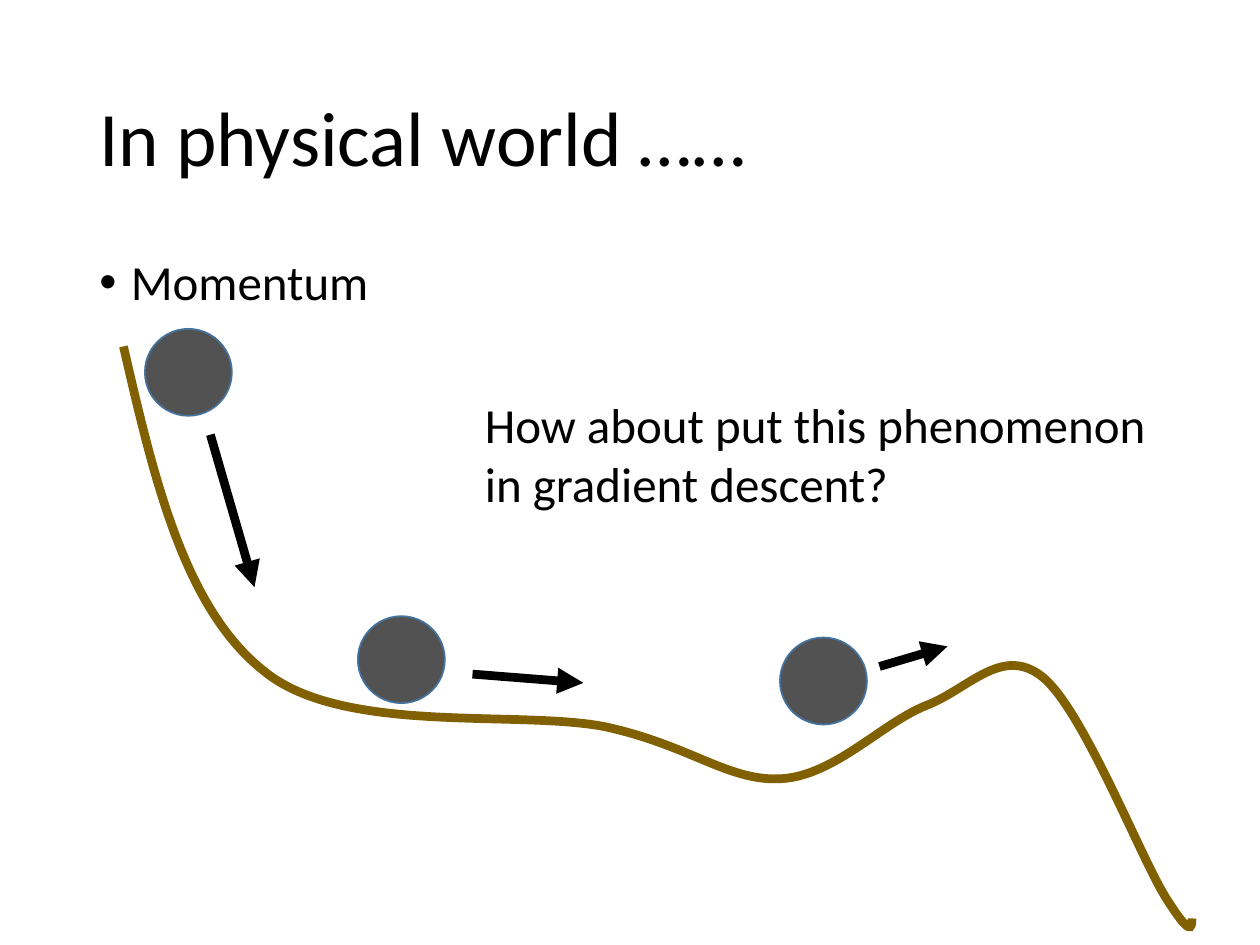
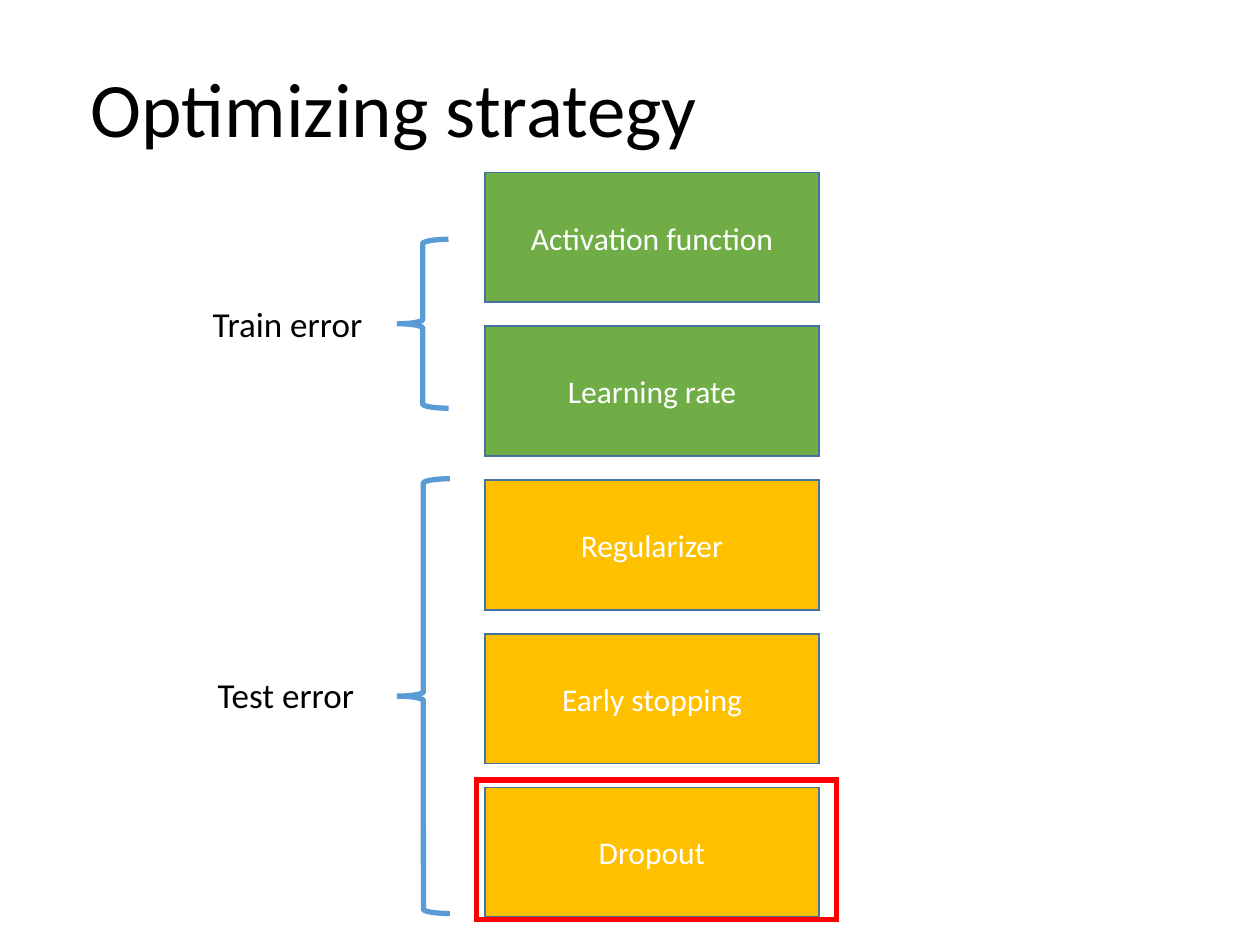
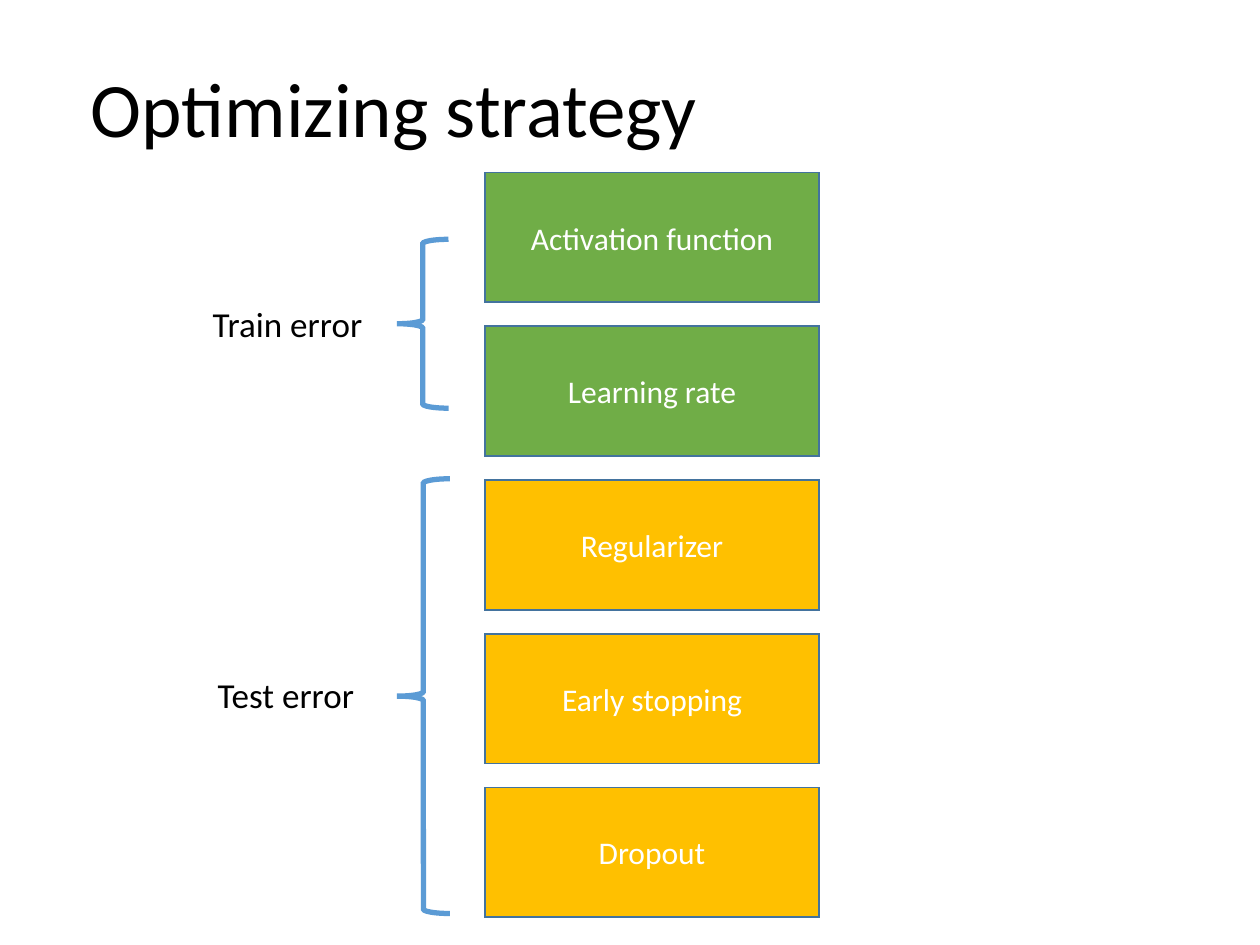
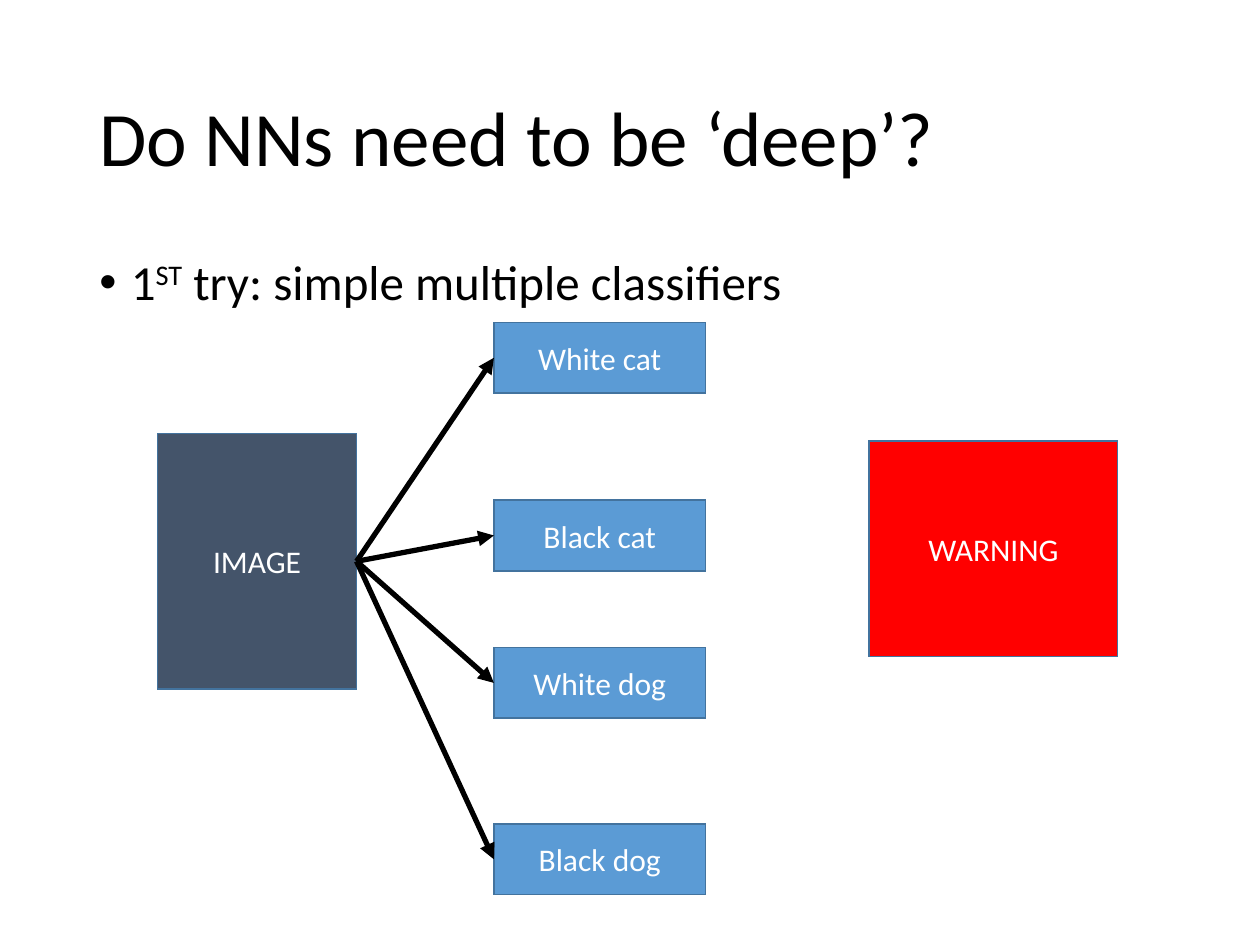
from lxml import etree
from pptx import Presentation
from pptx import util as u
from pptx.dml.color import RGBColor
from pptx.enum import shapes, text
from pptx.oxml.ns import qn

# ---- Shared style ----
COLOURS = {
    "ink": "000000", "paper": "FFFFFF", "outline": "43739E",
    "ball": "525252", "hill": "806000", "green": "70AD47", "amber": "FFC000",
    "blue": "5B9BD5", "slate": "44546A", "red": "FF0000",
}
FONT = "Calibri"
TITLE_SIZE, BODY_SIZE, GROUP_SIZE, LABEL_SIZE = 44, 28, 20, 18
TITLE_BOX = (0.69, 0.4, 8.62, 1.45)
STRATEGY_TITLE_BOX = (0.62, 0.17, 8.62, 1.45)
BODY_BOX = (0.69, 2, 8.62, 4.76)

# ---- Content: momentum ----
BALL_SIZE = 0.69
BALLS = [(1.15, 2.61), (2.84, 4.89), (6.19, 5.06)]
MOTIONS = [((1.67, 3.45), (2.02, 4.66)),
           ((3.75, 5.35), (4.63, 5.42)),
           ((6.98, 5.29), (7.52, 5.13))]
HILL_START, HILL_HEIGHT = (0.98, 2.75), 4.6
HILL_CURVES = [  # two control points and an end point each
    ((1.22, 3.79), (1.46, 4.83), (2.1, 5.33)),
    ((2.73, 5.84), (4.12, 5.63), (4.81, 5.77)),
    ((5.49, 5.92), (5.79, 6.21), (6.21, 6.18)),
    ((6.63, 6.15), (7, 5.74), (7.35, 5.6)),
    ((7.69, 5.47), (7.95, 5.12), (8.27, 5.37)),
    ((8.59, 5.62), (9.05, 6.8), (9.25, 7.12)),
    ((9.45, 7.44), (9.46, 7.37), (9.46, 7.29)),
]

# ---- Content: optimizing strategy ----
STRATEGIES = [("Activation function", "green"), ("Learning rate", "green"),
              ("Regularizer", "amber"), ("Early stopping", "amber"),
              ("Dropout", "amber")]
STRATEGY_LEFT, STRATEGY_TOP, STRATEGY_PITCH = 3.85, 1.37, 1.22
STRATEGY_SIZE = (2.65, 1.03)
BRACES = [(3.15, 1.9, 0.41, 1.34), (3.15, 3.8, 0.42, 3.45)]
ERROR_LABELS = [("Train error", (1.59, 2.35, 1.4, 0.44)),
                ("Test error", (1.63, 5.3, 1.3, 0.44))]
DROPOUT_FRAME = (3.78, 6.19, 2.86, 1.11)

# ---- Content: classifiers ----
IMAGE_BOX = (1.25, 3.44, 1.58, 2.03)
WARNING_BOX = (6.9, 3.5, 1.97, 1.71)
CLASSIFIERS = [("White cat", 2.56), ("Black cat", 3.97),
               ("White dog", 5.14), ("Black dog", 6.54)]
CLASSIFIER_LEFT, CLASSIFIER_SIZE = 3.92, (1.68, 0.56)


# ---- Helpers ----
def inches(values):
    return [u.Inches(value) for value in values]


def rgb(name):
    return RGBColor.from_string(COLOURS[name])


def add_span(para, words, size, colour="ink", superscript=False):
    span = para.add_run()
    span.text = words
    span.font.name = FONT
    span.font.size = u.Pt(size)
    span.font.color.rgb = rgb(colour)
    if superscript:
        span.font._element.set("baseline", "30000")


def add_text(page, place, words, size, wrap=True, grow=False):
    box = page.shapes.add_textbox(*inches(place))
    frame = box.text_frame
    frame.word_wrap = wrap
    if grow:
        frame.auto_size = text.MSO_AUTO_SIZE.SHAPE_TO_FIT_TEXT
    if words:
        add_span(frame.paragraphs[0], words, size)
    return frame


def add_title(page, words, place=TITLE_BOX):
    frame = add_text(page, place, words, TITLE_SIZE)
    frame.vertical_anchor = text.MSO_ANCHOR.MIDDLE
    frame.paragraphs[0].line_spacing = 0.9


def add_bullet(page, spans):
    para = add_text(page, BODY_BOX, "", BODY_SIZE).paragraphs[0]
    para.line_spacing = 0.9
    para.space_before = u.Pt(10)
    props = para._p.get_or_add_pPr()
    props.set("marL", str(u.Inches(0.25)))
    props.set("indent", str(u.Inches(-0.25)))
    etree.SubElement(props, qn("a:buFont")).set("typeface", "Arial")
    etree.SubElement(props, qn("a:buChar")).set("char", "•")
    for words, superscript in spans:
        add_span(para, words, BODY_SIZE, superscript=superscript)


def style_line(line, colour, width):
    line.color.rgb = rgb(colour)
    line.width = u.Pt(width)
    etree.SubElement(line._get_or_add_ln(), qn("a:miter")).set("lim", "800000")


def style_shape(shape, fill, line, width):
    shape.shadow.inherit = False
    if fill:
        shape.fill.solid()
        shape.fill.fore_color.rgb = rgb(fill)
    else:
        shape.fill.background()
    style_line(shape.line, line, width)


def add_shape(page, kind, place, fill=None, line="outline", width=1, label=""):
    shape = page.shapes.add_shape(kind, *inches(place))
    style_shape(shape, fill, line, width)
    if label:
        frame = shape.text_frame
        frame.word_wrap = True
        frame.vertical_anchor = text.MSO_ANCHOR.MIDDLE
        para = frame.paragraphs[0]
        para.alignment = text.PP_ALIGN.CENTER
        add_span(para, label, LABEL_SIZE, "paper")


def add_block(page, place, fill, label):
    add_shape(page, shapes.MSO_SHAPE.RECTANGLE, place, fill, label=label)


def add_arrow(page, start, end, width):
    arrow = page.shapes.add_connector(
        shapes.MSO_CONNECTOR.STRAIGHT, *inches((*start, *end)))
    style_line(arrow.line, "ink", width)
    etree.SubElement(arrow.line._get_or_add_ln(), qn("a:tailEnd")).set("type", "triangle")
    etree.SubElement(arrow._element.spPr, qn("a:effectLst"))


def add_hill(page):
    builder = page.shapes.build_freeform(*inches(HILL_START))
    builder.add_line_segments([inches(curve[-1]) for curve in HILL_CURVES], close=False)
    hill = builder.convert_to_shape()
    style_shape(hill, None, "hill", 5)
    # Bend each straight segment into a cubic curve
    outline = next(hill._element.iter(qn("a:path")))
    for segment, curve in zip(outline.findall(qn("a:lnTo")), HILL_CURVES):
        bend = etree.Element(qn("a:cubicBezTo"))
        for x, y in curve:
            point = etree.SubElement(bend, qn("a:pt"))
            point.set("x", str(u.Inches(x) - hill.left))
            point.set("y", str(u.Inches(y) - hill.top))
        outline.replace(segment, bend)
    # The last bend dips below the end points
    hill.height = u.Inches(HILL_HEIGHT)
    outline.set("h", str(hill.height))


# ---- Slides ----
def momentum_page(page):
    add_title(page, "In physical world ……")
    add_bullet(page, [("Momentum", False)])
    add_hill(page)
    for left, top in BALLS:
        add_shape(page, shapes.MSO_SHAPE.OVAL, (left, top, BALL_SIZE, BALL_SIZE), "ball")
    for start, end in MOTIONS:
        add_arrow(page, start, end, 5)
    add_text(page, (3.75, 3.08, 5.56, 1.04),
             "How about put this phenomenon in gradient descent?", BODY_SIZE, grow=True)


def strategy_page(page, highlight=False):
    add_title(page, "Optimizing strategy", STRATEGY_TITLE_BOX)
    for row, (label, fill) in enumerate(STRATEGIES):
        top = STRATEGY_TOP + row * STRATEGY_PITCH
        add_block(page, (STRATEGY_LEFT, top, *STRATEGY_SIZE), fill, label)
    for place in BRACES:
        add_shape(page, shapes.MSO_SHAPE.LEFT_BRACE, place, line="blue", width=3)
    for label, place in ERROR_LABELS:
        add_text(page, place, label, GROUP_SIZE, wrap=False, grow=True)
    if highlight:
        add_shape(page, shapes.MSO_SHAPE.RECTANGLE, DROPOUT_FRAME, line="red", width=3)


def classifier_page(page):
    add_title(page, "Do NNs need to be ‘deep’?")
    add_bullet(page, [("1", False), ("ST", True),
                      (" try: simple multiple classifiers", False)])
    add_block(page, IMAGE_BOX, "slate", "IMAGE")
    left, top, width, height = IMAGE_BOX
    source = (left + width, top + height / 2)
    for label, top in CLASSIFIERS:
        add_block(page, (CLASSIFIER_LEFT, top, *CLASSIFIER_SIZE), "blue", label)
    for label, top in CLASSIFIERS:
        add_arrow(page, source, (CLASSIFIER_LEFT, top + CLASSIFIER_SIZE[1] / 2), 3)
    add_block(page, WARNING_BOX, "red", "WARNING")


deck = Presentation()
deck.slide_width, deck.slide_height = inches((10, 7.5))
blank = deck.slide_layouts[6]
momentum_page(deck.slides.add_slide(blank))
strategy_page(deck.slides.add_slide(blank), highlight=True)
strategy_page(deck.slides.add_slide(blank))
classifier_page(deck.slides.add_slide(blank))
deck.save("out.pptx")
